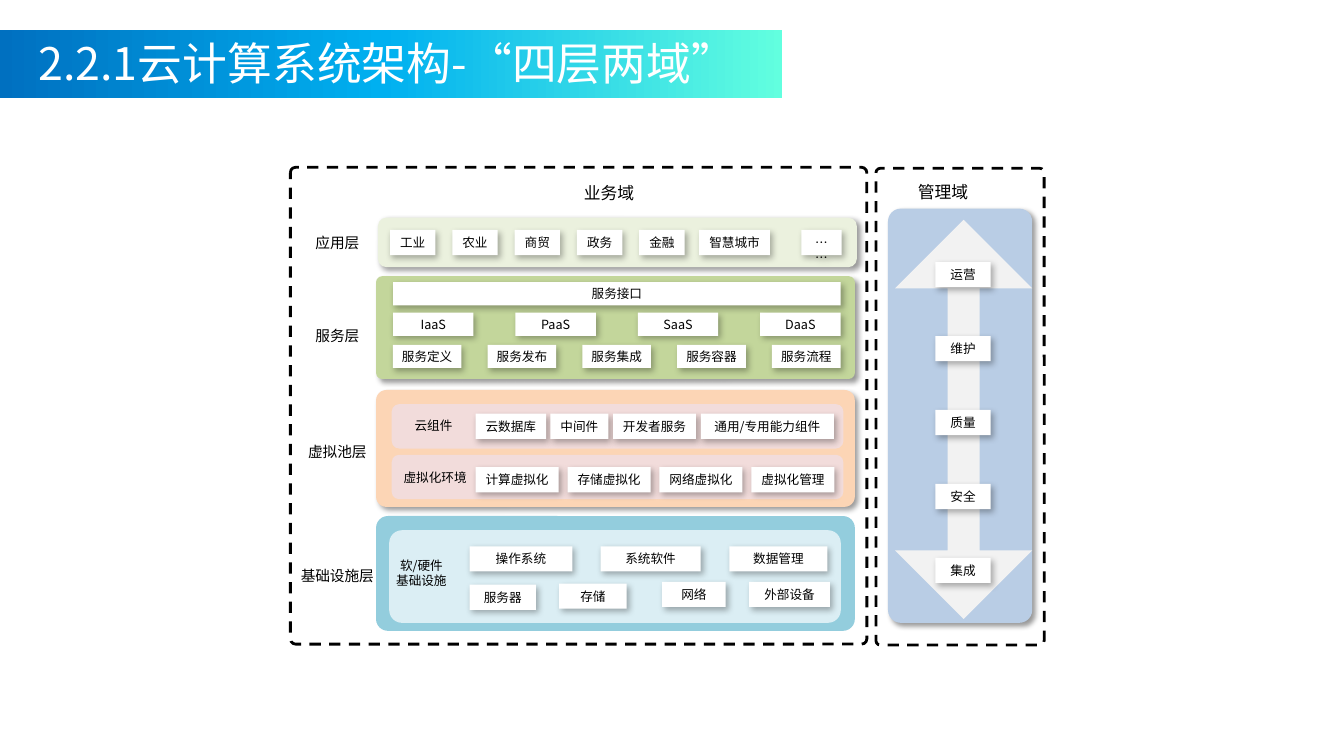
from dataclasses import dataclass
from copy import deepcopy

from lxml import etree
from pptx import Presentation
from pptx.dml.color import RGBColor
from pptx.enum.dml import MSO_LINE
from pptx.enum.shapes import MSO_SHAPE
from pptx.enum.text import MSO_ANCHOR, PP_ALIGN
from pptx.oxml.ns import qn
from pptx.util import Pt

RECTANGLE = MSO_SHAPE.RECTANGLE
ROUNDED = MSO_SHAPE.ROUNDED_RECTANGLE
UP_DOWN_ARROW = MSO_SHAPE.UP_DOWN_ARROW
DASH = MSO_LINE.DASH
CENTER = PP_ALIGN.CENTER
JUSTIFY = PP_ALIGN.JUSTIFY
TOP = MSO_ANCHOR.TOP
MIDDLE = MSO_ANCHOR.MIDDLE


@dataclass(frozen=True)
class Theme:
    font: str = "Noto Sans CJK SC"
    title_size: float = 32
    domain_size: float = 12
    layer_size: float = 10.5
    chip_size: float = 9
    line_height: float = 1.2
    white: str = "FFFFFF"
    black: str = "000000"
    banner: tuple = ((0, "0070C0"), (0.49, "00B0F0"), (1, "62FFDF"))
    management: str = "B9CDE5"
    arrow: str = "F2F2F2"
    application: str = "EBF1DE"
    service: str = "C3D69B"
    pool: str = "FCD5B5"
    pool_group: str = "F2DCDB"
    infrastructure: str = "93CDDD"
    infrastructure_group: str = "DBEEF4"
    panel_shadow: tuple = (40, 4, 3, 45)
    chip_shadow: tuple = (30, 4.5, 2.6, 53)


class SlideBuilder:
    def __init__(self, slide, theme):
        self.slide = slide
        self.theme = theme

    def shape(self, kind, left, top, width, height, color, adjustments=()):
        shape = self.slide.shapes.add_shape(kind, Pt(left), Pt(top), Pt(width), Pt(height))
        shape.shadow.inherit = False
        shape.fill.solid()
        shape.fill.fore_color.rgb = RGBColor.from_string(color)
        shape.line.fill.background()
        for index, value in enumerate(adjustments):
            shape.adjustments[index] = value
        return shape

    def cast_shadow(self, shape, alpha, blur, distance, angle):
        effects = shape._element.spPr.find(qn("a:effectLst"))
        shadow = etree.SubElement(
            effects, qn("a:outerShdw"), blurRad=str(Pt(blur)), dist=str(Pt(distance)),
            dir=str(angle * 60000), algn="tl", rotWithShape="0")
        color = etree.SubElement(shadow, qn("a:srgbClr"), val=self.theme.black)
        etree.SubElement(color, qn("a:alpha"), val=str(alpha * 1000))

    def banner(self, left, top, width, height):
        shape = self.shape(RECTANGLE, left, top, width, height, self.theme.white)
        shape.fill.gradient()
        shape.fill.gradient_angle = 0
        stops = shape._element.spPr.find(qn("a:gradFill")).find(qn("a:gsLst"))
        stops.append(deepcopy(stops[-1]))
        for stop, (position, color) in zip(shape.fill.gradient_stops, self.theme.banner):
            stop.position = position
            stop.color.rgb = RGBColor.from_string(color)

    def frame(self, left, top, width, height, rounding):
        shape = self.shape(ROUNDED, left, top, width, height, self.theme.white, [rounding])
        shape.line.color.rgb = RGBColor.from_string(self.theme.black)
        shape.line.width = Pt(2)
        shape.line.dash_style = DASH

    def panel(self, left, top, width, height, color, rounding=0.167, shadow=False):
        shape = self.shape(ROUNDED, left, top, width, height, color, [rounding])
        if shadow:
            self.cast_shadow(shape, *self.theme.panel_shadow)

    def fill_text(self, shape, lines, size, color, alignment=CENTER, anchor=MIDDLE, wrap=False):
        frame = shape.text_frame
        frame.word_wrap = wrap
        frame.vertical_anchor = anchor
        frame.margin_top = frame.margin_bottom = Pt(3.6)
        for index, line in enumerate(lines):
            paragraph = frame.add_paragraph() if index else frame.paragraphs[0]
            paragraph.alignment = alignment
            paragraph.line_spacing = Pt(size * self.theme.line_height)
            run = paragraph.add_run()
            run.text = line
            run.font.size = Pt(size)
            run.font.name = self.theme.font
            run.font.color.rgb = RGBColor.from_string(color)
            properties = run._r.get_or_add_rPr()
            properties.set("lang", "zh-CN")
            east_asian = etree.Element(qn("a:ea"), typeface=self.theme.font)
            properties.find(qn("a:latin")).addnext(east_asian)

    def label(self, left, top, width, height, lines, size, color=None, alignment=CENTER):
        box = self.slide.shapes.add_textbox(Pt(left), Pt(top), Pt(width), Pt(height))
        self.fill_text(box, lines, size, color or self.theme.black, alignment, wrap=True)

    def chip(self, text, left, top, width, height=18, anchor=MIDDLE, wrap=False):
        shape = self.shape(RECTANGLE, left, top, width, height, self.theme.white)
        self.cast_shadow(shape, *self.theme.chip_shadow)
        self.fill_text(shape, [text], self.theme.chip_size, self.theme.black, CENTER, anchor, wrap)

    def chip_row(self, texts, left, top, pitch, width, height=18):
        for index, text in enumerate(texts):
            self.chip(text, left + index * pitch, top, width, height)

    def chip_column(self, texts, left, top, pitch, width):
        for index, text in enumerate(texts):
            self.chip(text, left, top + index * pitch, width)


def draw_business_domain(builder):
    theme = builder.theme
    builder.frame(207.4, 119.5, 411.8, 340.6, 0.011)
    builder.label(400, 126.7, 70, 21.6, ["业务域"], theme.domain_size)
    layers = (("应用层", 163.4), ("服务层", 229.7), ("虚拟池层", 312.5), ("基础设施层", 401))
    for name, top in layers:
        builder.label(201, top, 80, 20.2, [name], theme.layer_size)

    builder.panel(270, 155.5, 342, 35.3, theme.application, shadow=True)
    builder.chip_row(("工业", "农业", "商贸", "政务", "金融"), 278.6, 164.2, 44.5, 32.4)
    builder.chip("智慧城市", 499.5, 164.2, 50.4)
    builder.chip("……", 572.4, 164.2, 28.8, anchor=TOP, wrap=True)

    builder.panel(268.6, 197.3, 342, 73.4, theme.service, 0.058, True)
    builder.chip("服务接口", 280.8, 201.6, 319.7, 16.5)
    builder.chip_row(("IaaS", "PaaS", "SaaS", "DaaS"), 280.8, 223.4, 87.4, 57.4, 16.5)
    services = ("服务定义", "服务发布", "服务集成", "服务容器", "服务流程")
    builder.chip_row(services, 280.6, 246.3, 67.7, 49, 16.5)

    builder.panel(268.6, 278.6, 342, 83.5, theme.pool, 0.088, True)
    for top in (288.7, 324.9):
        builder.panel(279.8, top, 322.6, 31.7, theme.pool_group)
    builder.label(275.8, 295.2, 67.7, 18, ["云组件"], theme.chip_size)
    builder.label(277, 332, 67.7, 18, ["虚拟化环境"], theme.chip_size)
    components = (("云数据库", 339.7, 50.4), ("中间件", 393.1, 41.4),
                  ("开发者服务", 437.9, 59.2), ("通用/专用能力组件", 500.6, 95))
    for text, left, width in components:
        builder.chip(text, left, 295.5, width)
    virtualization = ("计算虚拟化", "存储虚拟化", "网络虚拟化", "虚拟化管理")
    builder.chip_row(virtualization, 339.7, 333.7, 65.7, 59.3)

    builder.panel(268.6, 368.6, 342, 82, theme.infrastructure, 0.103)
    builder.panel(278, 378.7, 322.6, 66.2, theme.infrastructure_group, 0.138)
    builder.label(268.6, 394.6, 64.8, 28.8, ["软/硬件", "基础设施"], theme.chip_size)
    equipment = (("操作系统", 335.4, 390.2, 73.4), ("系统软件", 429, 390.2, 71.5),
                 ("数据管理", 521, 390.2, 70), ("服务器", 335.4, 417.6, 47.4),
                 ("存储", 399.5, 416.8, 48.2), ("网络", 473, 415.6, 45.4),
                 ("外部设备", 535.2, 415.6, 57.6))
    for text, left, top, width in equipment:
        builder.chip(text, left, top, width)


def draw_management_domain(builder):
    theme = builder.theme
    builder.frame(625.7, 120.2, 120.2, 340.6, 0.027)
    builder.label(638.6, 126, 70, 21.6, ["管理域"], theme.domain_size)
    builder.panel(634.3, 149, 103, 295.9, theme.management, 0.089, True)
    builder.shape(UP_DOWN_ARROW, 639.4, 157, 97.9, 285.1, theme.arrow, [0.5, 0.233])
    activities = ("运营", "维护", "质量", "安全", "集成")
    builder.chip_column(activities, 668.2, 187.2, 52.8, 39.4)


def main():
    presentation = Presentation()
    presentation.slide_width = Pt(960)
    presentation.slide_height = Pt(540)
    theme = Theme()
    builder = SlideBuilder(presentation.slides.add_slide(presentation.slide_layouts[6]), theme)
    builder.banner(0, 21.6, 558.7, 48.2)
    builder.label(20.2, 21.6, 551.5, 46, ["2.2.1云计算系统架构-“四层两域”"],
                  theme.title_size, theme.white, JUSTIFY)
    draw_business_domain(builder)
    draw_management_domain(builder)
    presentation.save("out.pptx")


if __name__ == "__main__":
    main()
